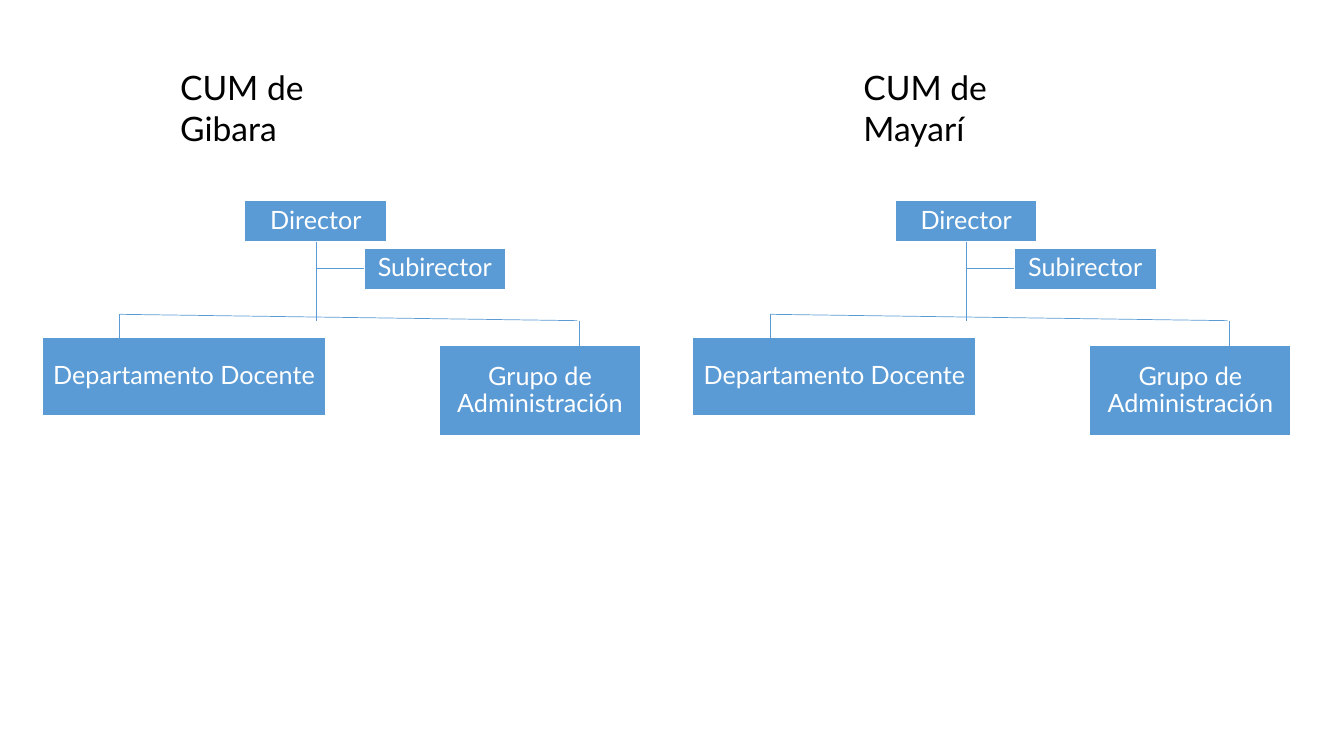
from dataclasses import dataclass
from pptx import Presentation
from pptx.dml.color import RGBColor
from pptx.enum.shapes import MSO_CONNECTOR, MSO_SHAPE
from pptx.enum.text import MSO_ANCHOR, PP_ALIGN
from pptx.util import Cm, Pt
from lxml.etree import SubElement
from pptx.oxml.ns import qn


@dataclass
class Theme:
    font: str = "Lato"
    blue: RGBColor = RGBColor(0x5B, 0x9B, 0xD5)
    white: RGBColor = RGBColor(255, 255, 255)
    black: RGBColor = RGBColor(0, 0, 0)
    title: int = 24
    label: int = 18


theme = Theme()


def put_text(shape, text, size, color, align=PP_ALIGN.LEFT,
             anchor=MSO_ANCHOR.TOP, inset=None, space=None):
    frame = shape.text_frame
    frame.word_wrap = True
    frame.vertical_anchor = anchor
    if inset is not None:
        frame.margin_left = frame.margin_right = inset
        frame.margin_top = frame.margin_bottom = inset
    para = frame.paragraphs[0]
    para.text = text
    para.alignment = align
    para.line_spacing = space
    para.font.name = theme.font
    para.font.size = Pt(size)
    para.font.color.rgb = color


def add_line(x1, y1, x2, y2):
    line = slide.shapes.add_connector(
        MSO_CONNECTOR.STRAIGHT, Cm(x1), Cm(y1), Cm(x2), Cm(y2))
    line.line.color.rgb = theme.blue
    line.line.width = Pt(0.5)
    SubElement(line._element.spPr, qn("a:effectLst"))
    return line


deck = Presentation()
deck.slide_width, deck.slide_height = Cm(33.87), Cm(19.05)
slide = deck.slides.add_slide(deck.slide_layouts[6])

# Box: label, left, top, width, height
boxes = [
    ("Director", 6.17, 5.05, 3.58, 1.04),
    ("Departamento Docente", 1.07, 8.51, 7.14, 1.96),
    ("Grupo de Administración", 11.07, 8.71, 5.08, 2.26),
    ("Subirector", 9.17, 6.25, 3.58, 1.04),
]

# One chart per centre: title, title left, shift of the chart
for title, left, shift in [("CUM de Gibara", 4.29, 0),
                           ("CUM de Mayarí", 21.51, 16.39)]:
    # Title
    head = slide.shapes.add_textbox(Cm(left), Cm(1.57), Cm(6.12), Cm(1.27))
    put_text(head, title, theme.title, theme.black)

    # Boxes
    nodes = {}
    for label, x, y, width, height in boxes:
        node = slide.shapes.add_shape(
            MSO_SHAPE.RECTANGLE, Cm(x + shift), Cm(y), Cm(width), Cm(height))
        node.shadow.inherit = False
        node.fill.solid()
        node.fill.fore_color.rgb = theme.blue
        node.line.color.rgb = theme.white
        node.line.width = Pt(1)
        put_text(node, label, theme.label, theme.white, align=PP_ALIGN.CENTER,
                 anchor=MSO_ANCHOR.MIDDLE, inset=Cm(0.03), space=0.9)
        nodes[label] = node

    # Crossbar and its two drops
    add_line(3.02 + shift, 7.92, 14.55 + shift, 8.08)
    add_line(3.02 + shift, 8.51, 3.02 + shift, 7.92)
    add_line(14.6 + shift, 8.71, 14.6 + shift, 8.08)

    # Trunk and side branch
    trunk = add_line(7.96 + shift, 6.09, 7.96 + shift, 8.08)
    trunk.begin_connect(nodes["Director"], 2)
    branch = add_line(9.17 + shift, 6.77, 7.98 + shift, 6.77)
    branch.begin_connect(nodes["Subirector"], 1)

deck.save("out.pptx")
